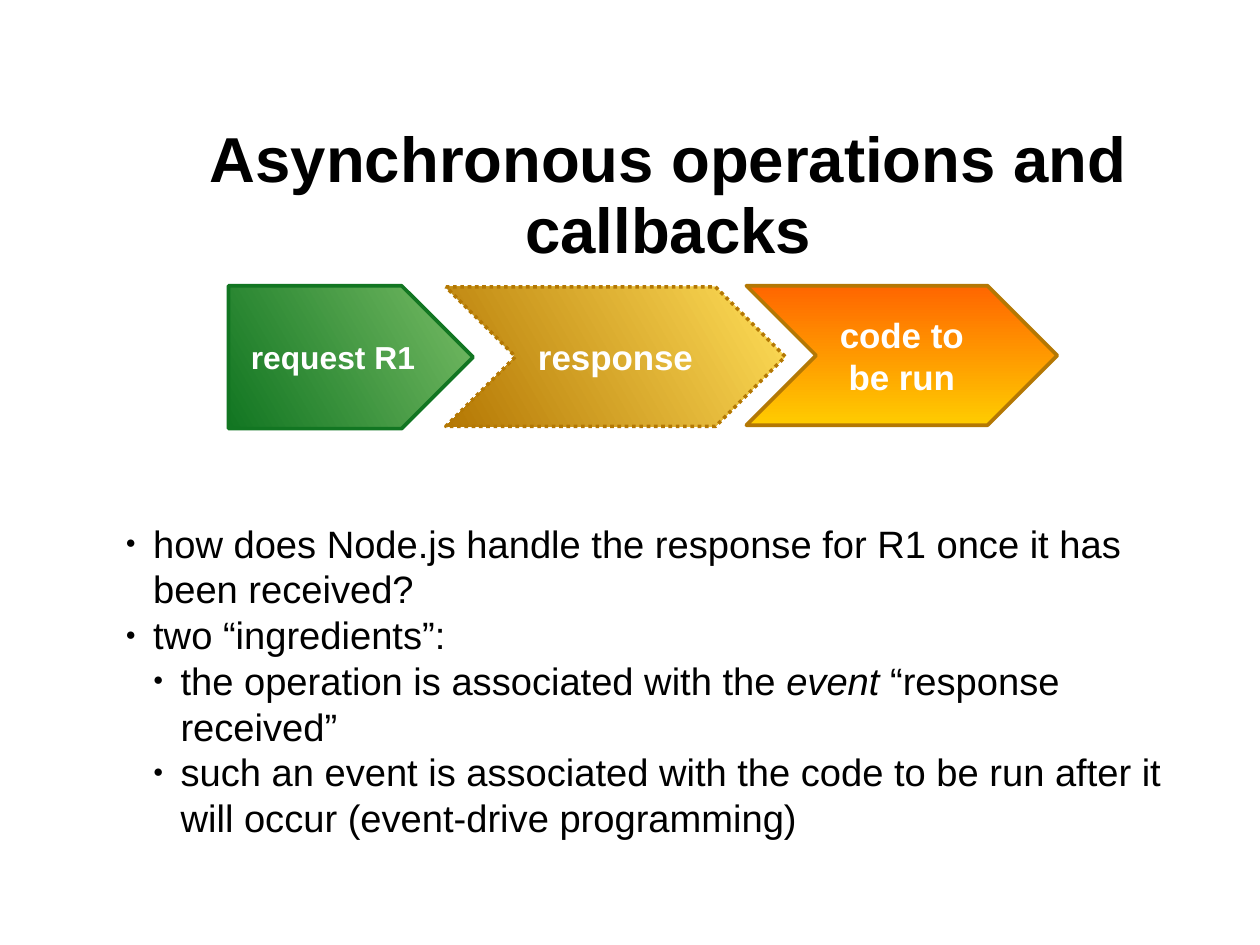
from lxml import etree
from pptx import Presentation
from pptx import util as u
from pptx.dml.color import RGBColor
from pptx.enum import dml, shapes, text
from pptx.oxml import ns

WIDTH, HEIGHT = u.Cm(28), u.Cm(21)
FONT = "Arial"
BLACK = RGBColor(0x00, 0x00, 0x00)
WHITE = RGBColor(0xFF, 0xFF, 0xFF)
LIGHT_GREEN = RGBColor(0x77, 0xBC, 0x65)
GREEN = RGBColor(0x12, 0x76, 0x22)
LIGHT_GOLD = RGBColor(0xFF, 0xDE, 0x59)
GOLD = RGBColor(0xB4, 0x78, 0x04)
YELLOW = RGBColor(0xFF, 0xCC, 0x00)
ORANGE = RGBColor(0xFF, 0x66, 0x00)

PENTAGON = shapes.MSO_SHAPE.PENTAGON
CHEVRON = shapes.MSO_SHAPE.CHEVRON
INDENT = 0.24

# Left, top, width and height in percent of the slide's size
TITLE_AREA = (11.43, 16.81, 83.19, 7.5)
BODY_AREA = (9.07, 54.43, 87.99, 37.13)

# Outline, area, label, text size, gradient (start, end, angle), line colour, dotted
STEPS = [
    (PENTAGON, (18.14, 30.24, 19.41, 15.12), "request R1", 20,
     (LIGHT_GREEN, GREEN, 210), GREEN, False),
    (CHEVRON, (35.38, 30.36, 26.94, 14.76), "response", 22,
     (LIGHT_GOLD, GOLD, 210), GOLD, True),
    (CHEVRON, (59.24, 30.24, 24.67, 14.76), "code to be run", 22,
     (YELLOW, ORANGE, 90), GOLD, False),
]

# Level and runs (text, italic)
POINTS = [
    (0, [("how does Node.js handle the response for R1 once it has been received?", False)]),
    (0, [("two “ingredients”:", False)]),
    (1, [("the operation is associated with the ", False), ("event", True),
         (" “response received”", False)]),
    (1, [("such an event is associated with the code to be run after it will occur "
          "(event-drive programming)", False)]),
]


def area(percents):
    sides = (WIDTH, HEIGHT, WIDTH, HEIGHT)
    return [round(side * percent / 100) for side, percent in zip(sides, percents)]


def place(holder, percents):
    holder.left, holder.top, holder.width, holder.height = area(percents)


def set_frame(frame, anchor, side, top, bottom):
    frame.word_wrap = True
    frame.auto_size = text.MSO_AUTO_SIZE.NONE
    frame.vertical_anchor = anchor
    frame.margin_left = frame.margin_right = u.Inches(side)
    frame.margin_top, frame.margin_bottom = u.Inches(top), u.Inches(bottom)


def add_span(para, words, size, color, bold=False, italic=False):
    span = para.add_run()
    span.text = words
    font = span.font
    font.name, font.size = FONT, u.Pt(size)
    font.bold, font.italic = bold, italic
    font.color.rgb = color


def add_bullet(para, level):
    """Give the paragraph a small black dot and a hanging indent."""
    props = para._p.get_or_add_pPr()
    props.set("marL", str(u.Inches(INDENT * (level + 1))))
    props.set("indent", str(-u.Inches(INDENT)))
    color = etree.SubElement(props, ns.qn("a:buClr"))
    etree.SubElement(color, ns.qn("a:srgbClr"), val=str(BLACK))
    etree.SubElement(props, ns.qn("a:buSzPct"), val="45000")
    etree.SubElement(props, ns.qn("a:buFont"), typeface=FONT)
    etree.SubElement(props, ns.qn("a:buChar"), char="●")


def fill_title(title):
    place(title, TITLE_AREA)
    set_frame(title.text_frame, text.MSO_ANCHOR.MIDDLE, 0, 0.04, 0)
    para = title.text_frame.paragraphs[0]
    para.alignment = text.PP_ALIGN.CENTER
    para.line_spacing = 0.93
    add_span(para, "Asynchronous operations and callbacks", 40, BLACK, bold=True)


def fill_body(body):
    place(body, BODY_AREA)
    frame = body.text_frame
    set_frame(frame, text.MSO_ANCHOR.TOP, 0.1, 0.05, 0.05)
    for index, (level, spans) in enumerate(POINTS):
        para = frame.add_paragraph() if index else frame.paragraphs[0]
        para.level = level
        para.space_before = u.Pt(0)
        add_bullet(para, level)
        for words, italic in spans:
            add_span(para, words, 24, BLACK, italic=italic)


def add_step(page, outline, percents, label, size, gradient, line_color, dotted):
    step = page.shapes.add_shape(outline, *area(percents))
    step.shadow.inherit = False
    step.adjustments[0] = 0.5
    *colors, angle = gradient
    step.fill.gradient()
    step.fill.gradient_angle = angle
    for stop, color in zip(step.fill.gradient_stops, colors):
        stop.color.rgb = color
    step.line.color.rgb = line_color
    step.line.width = u.Pt(2.3)
    if dotted:
        step.line.dash_style = dml.MSO_LINE.ROUND_DOT
    set_frame(step.text_frame, text.MSO_ANCHOR.MIDDLE, 0.11, 0.06, 0.06)
    para = step.text_frame.paragraphs[0]
    para.alignment = text.PP_ALIGN.CENTER
    add_span(para, label, size, WHITE, bold=True)


def main():
    deck = Presentation()
    deck.slide_width, deck.slide_height = WIDTH, HEIGHT
    page = deck.slides.add_slide(deck.slide_layouts[1])
    fill_title(page.shapes.title)
    fill_body(page.placeholders[1])
    for step in STEPS:
        add_step(page, *step)
    deck.save("out.pptx")


if __name__ == "__main__":
    main()
